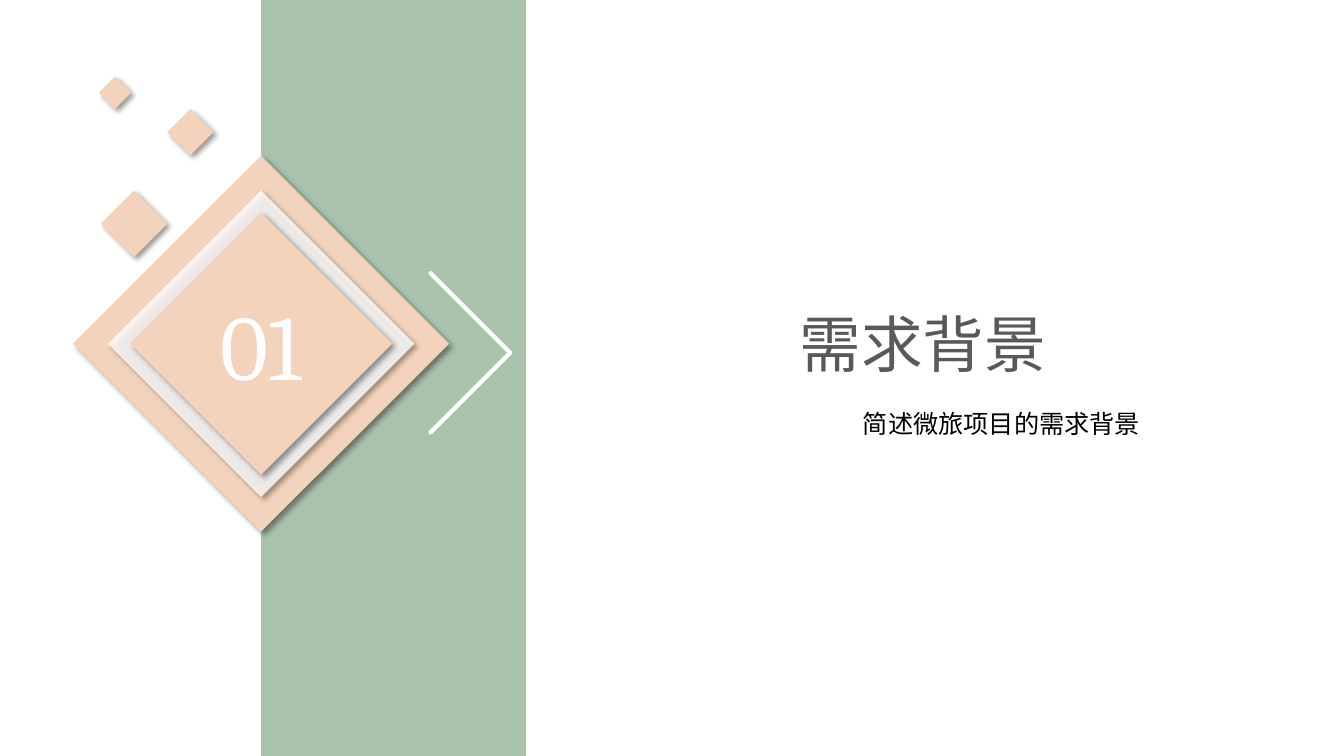
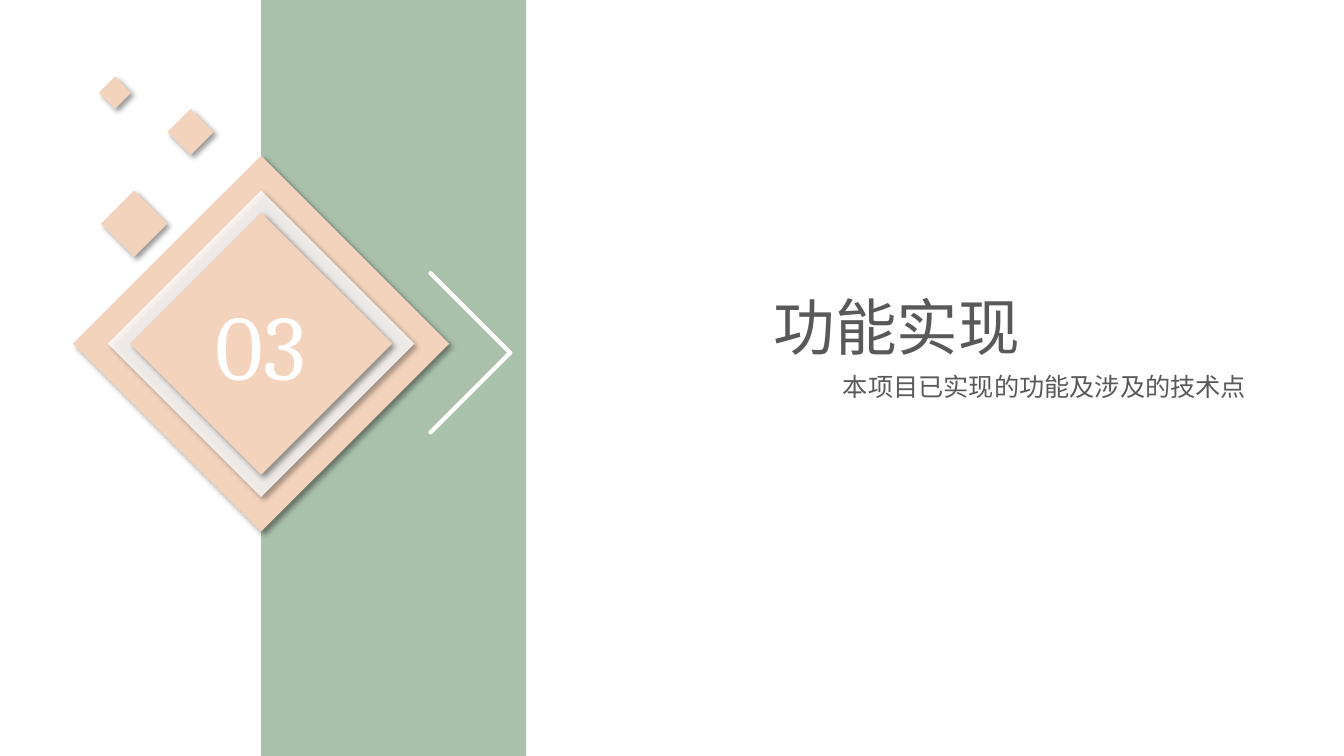
from lxml import etree
from pptx import Presentation
from pptx.dml.color import RGBColor
from pptx.enum.shapes import MSO_CONNECTOR, MSO_SHAPE
from pptx.enum.text import MSO_ANCHOR, PP_ALIGN
from pptx.oxml.ns import qn
from pptx.util import Inches, Pt

DIAMOND, RECTANGLE = MSO_SHAPE.DIAMOND, MSO_SHAPE.RECTANGLE
STRAIGHT = MSO_CONNECTOR.STRAIGHT
LEFT, CENTER = PP_ALIGN.LEFT, PP_ALIGN.CENTER
MIDDLE = MSO_ANCHOR.MIDDLE

GREEN, PEACH, WHITE, GREY, BLACK = "AAC2AC", "F3D3BC", "FFFFFF", "595959", "000000"
NUMBER_FONT, TEXT_FONT = "Cambria", "Noto Sans CJK SC"

BADGE_X, BADGE_Y = 2.59, 3.41
# Centre x, centre y and size of each scattered diamond
SMALL_DIAMONDS = [(1.33, 2.22, 0.66), (1.89, 1.31, 0.46), (1.14, 0.92, 0.32)]
TIP_X, TIP_Y, ARM = 5.06, 3.5, 0.79


def color(value):
    return RGBColor.from_string(value)


def add_xml(parent, tag, **attributes):
    return etree.SubElement(parent, qn(tag), attributes)


class SectionDeck:
    """Section divider slides in one style."""

    def __init__(self):
        self.deck = Presentation()
        self.deck.slide_width = Inches(13.33)
        self.deck.slide_height = Inches(7.5)
        self.slide = None

    def shape(self, kind, left, top, width, height, fill):
        shape = self.slide.shapes.add_shape(
            kind, Inches(left), Inches(top), Inches(width), Inches(height))
        shape.shadow.inherit = False
        shape.fill.solid()
        shape.fill.fore_color.rgb = color(fill)
        shape.line.fill.background()
        return shape

    def diamond(self, center_x, center_y, size, fill=PEACH, opacity=100):
        diamond = self.shape(DIAMOND, center_x - size / 2, center_y - size / 2,
                             size, size, fill)
        properties = diamond._element.spPr
        if opacity < 100:
            fill_color = properties.find(qn("a:solidFill"))[0]
            add_xml(fill_color, "a:alpha", val=str(opacity * 1000))
        # Soft shadow towards the lower right
        shadow = add_xml(properties.find(qn("a:effectLst")), "a:outerShdw",
                         blurRad=str(Pt(4)), dist=str(Pt(3)), dir=str(45 * 60000),
                         algn="tl", rotWithShape="0")
        shadow_color = add_xml(shadow, "a:srgbClr", val=BLACK)
        add_xml(shadow_color, "a:alpha", val="40000")
        return diamond

    def line(self, start_x, start_y, end_x, end_y):
        line = self.slide.shapes.add_connector(
            STRAIGHT, Inches(start_x), Inches(start_y), Inches(end_x), Inches(end_y))
        line.line.color.rgb = color(WHITE)
        line.line.width = Pt(3)
        properties = line._element.spPr
        properties.find(qn("a:ln")).set("cap", "rnd")
        add_xml(properties, "a:effectLst")

    def set_text(self, frame, text, size, fill, font=TEXT_FONT, align=CENTER):
        frame.word_wrap = True
        paragraph = frame.paragraphs[0]
        paragraph.text = text
        paragraph.alignment = align
        paragraph.font.size = Pt(size)
        paragraph.font.color.rgb = color(fill)
        paragraph.font.name = font
        # East Asian characters take their own typeface
        add_xml(paragraph._p.pPr.find(qn("a:defRPr")), "a:ea", typeface=font)

    def text(self, left, top, width, height, text, size, fill, align=CENTER):
        box = self.slide.shapes.add_textbox(
            Inches(left), Inches(top), Inches(width), Inches(height))
        self.set_text(box.text_frame, text, size, fill, align=align)

    def badge(self, number):
        self.diamond(BADGE_X, BADGE_Y, 3.73)
        self.diamond(BADGE_X, BADGE_Y, 3.04, WHITE, 81)
        center = self.diamond(BADGE_X, BADGE_Y, 2.6)
        center.text_frame.vertical_anchor = MIDDLE
        self.set_text(center.text_frame, number, 66, WHITE, NUMBER_FONT)

    def section(self, number):
        self.slide = self.deck.slides.add_slide(self.deck.slide_layouts[6])
        # Band and numbered badge
        self.shape(RECTANGLE, BADGE_X, 0, 2.63, 7.5, GREEN)
        self.badge(number)
        for center_x, center_y, size in SMALL_DIAMONDS:
            self.diamond(center_x, center_y, size)
        # Chevron
        for offset in (ARM, -ARM):
            self.line(TIP_X - ARM, TIP_Y + offset, TIP_X, TIP_Y)

    def title(self, left, top, text):
        self.text(left, top, 6.57, 0.84, text, 44, GREY)


def main():
    sections = SectionDeck()

    # Background section
    sections.section("01")
    sections.title(5.87, 2.99, "需求背景")
    sections.text(8.46, 4, 3.36, 0.4, "简述微旅项目的需求背景", 18, BLACK, LEFT)

    # Features section
    sections.section("03")
    sections.title(5.61, 2.82, "功能实现")
    sections.text(8.21, 3.63, 4.3, 0.4, "本项目已实现的功能及涉及的技术点", 18, GREY)

    sections.deck.save("out.pptx")


if __name__ == "__main__":
    main()
